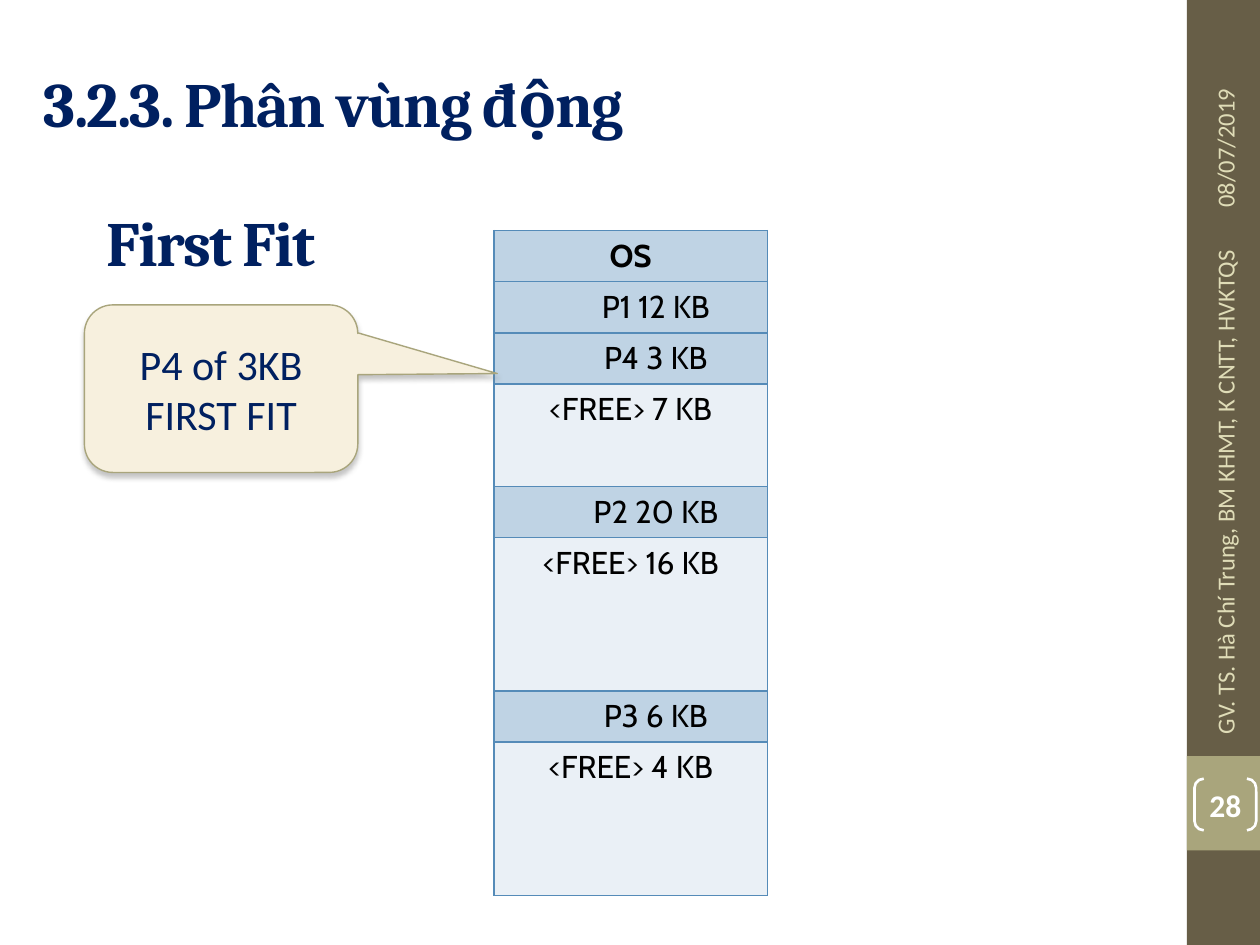
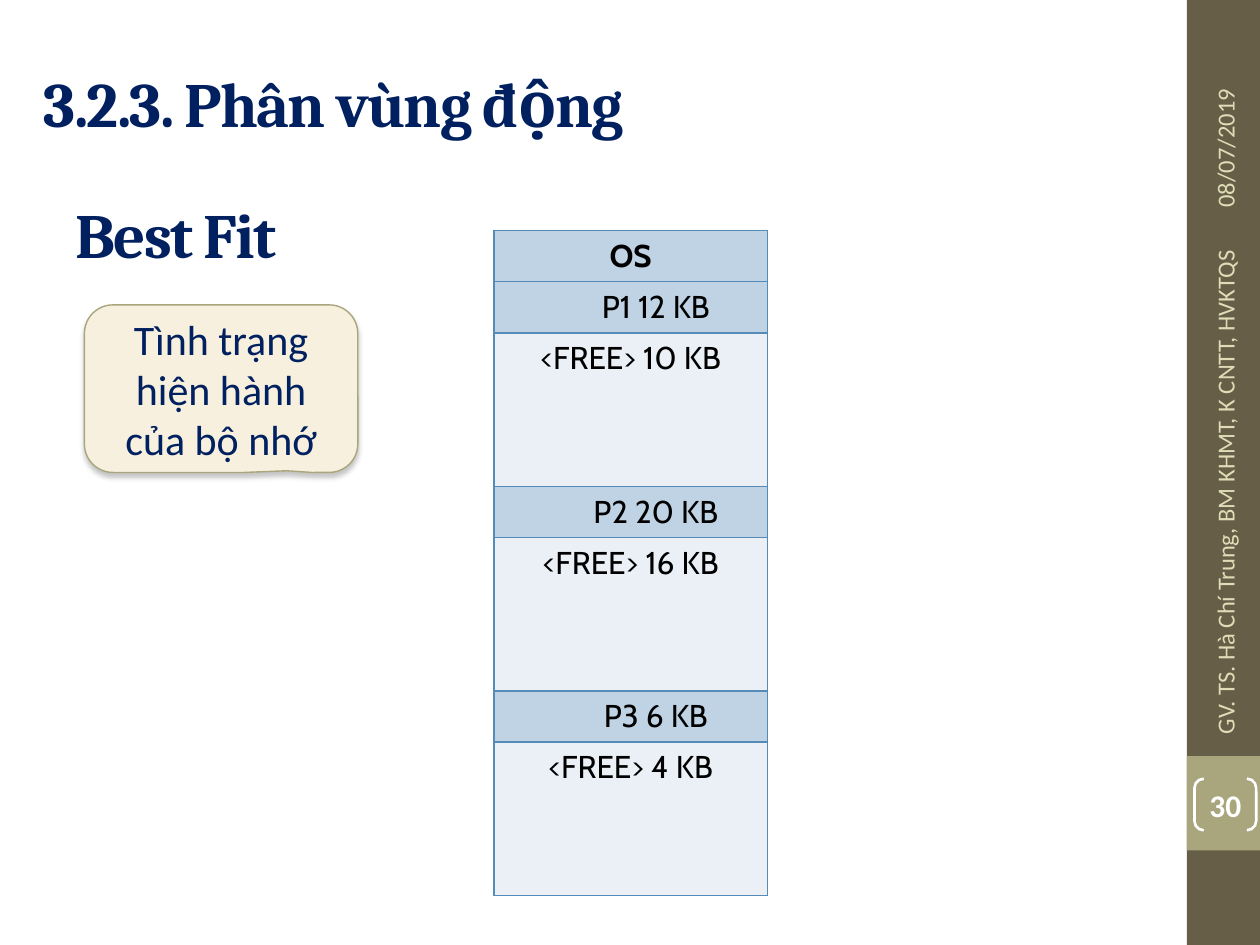
from lxml import etree
from pptx import Presentation
from pptx.dml.color import RGBColor
from pptx.enum.shapes import MSO_SHAPE
from pptx.enum.text import MSO_ANCHOR, PP_ALIGN
from pptx.oxml import parse_xml
from pptx.oxml.ns import nsdecls, qn
from pptx.util import Inches, Pt

RECTANGLE = MSO_SHAPE.RECTANGLE
BRACKETS = MSO_SHAPE.DOUBLE_BRACKET
CALLOUT = MSO_SHAPE.ROUNDED_RECTANGULAR_CALLOUT
MIDDLE = MSO_ANCHOR.MIDDLE
LEFT, CENTER = PP_ALIGN.LEFT, PP_ALIGN.CENTER

WHITE = RGBColor(0xFF, 0xFF, 0xFF)
BLACK = RGBColor(0x00, 0x00, 0x00)
NAVY = RGBColor(0x00, 0x20, 0x60)
OLIVE_DARK = RGBColor(0x67, 0x5E, 0x47)
OLIVE = RGBColor(0xA9, 0xA5, 0x7C)
SAND = RGBColor(0xDF, 0xDC, 0xB7)
CREAM = RGBColor(0xF7, 0xF0, 0xDE)
USED_BLUE = RGBColor(0xBF, 0xD3, 0xE4)
FREE_BLUE = RGBColor(0xEA, 0xF0, 0xF6)
BORDER_BLUE = RGBColor(0x55, 0x8B, 0xB8)

HEADING = "3.2.3. Phân vùng động"
HEADING_BOX = (0.25, 0.3, 8.92, 1.03)
DATE = "08/07/2019"
AUTHOR = "GV. TS. Hà Chí Trung, BM KHMT, K CNTT, HVKTQS"
SIDEBAR_BOX = (9.42, 0, 0.58, 7.5)
MEMORY_BOX = (3.92, 1.83, 2.17, 5.28)
CALLOUT_BOX = (0.67, 2.42, 2.17, 1.33)
PROCESS_INDENT = 0.4

# Memory blocks: (label, rows taken); labels starting with FREE are holes.
FREE = "<FREE>"
FIRST_FIT_BLOCKS = [
    ("OS", 1), ("P1 12 KB", 1), ("P4 3 KB", 1), ("<FREE> 7 KB", 2),
    ("P2 20 KB", 1), ("<FREE> 16 KB", 3), ("P3 6 KB", 1), ("<FREE> 4 KB", 3),
]
BEST_FIT_BLOCKS = [
    ("OS", 1), ("P1 12 KB", 1), ("<FREE> 10 KB", 3),
    ("P2 20 KB", 1), ("<FREE> 16 KB", 3), ("P3 6 KB", 1), ("<FREE> 4 KB", 3),
]


def inches(box):
    return [Inches(length) for length in box]


def write(frame, text, font, size, color, bold=False, align=LEFT):
    frame.text = text
    for paragraph in frame.paragraphs:
        paragraph.alignment = align
        paragraph.font.name = font
        paragraph.font.size = Pt(size)
        paragraph.font.bold = bold
        paragraph.font.color.rgb = color


def add_label(slide, box, text, font, size, color, bold=False):
    label = slide.shapes.add_textbox(*inches(box))
    label.text_frame.word_wrap = True
    label.text_frame.vertical_anchor = MIDDLE
    write(label.text_frame, text, font, size, color, bold)
    return label


def add_title(slide, box, text):
    title = add_label(slide, box, text, "Cambria", 36, NAVY, bold=True)
    for run in title.text_frame.paragraphs[0].runs:
        run.font._element.set("spc", "-100")


def add_panel(slide, preset, box, fill=None, line=None, width=1.0):
    panel = slide.shapes.add_shape(preset, *inches(box))
    panel.shadow.inherit = False
    if fill is None:
        panel.fill.background()
    else:
        panel.fill.solid()
        panel.fill.fore_color.rgb = fill
    if line is None:
        panel.line.fill.background()
    else:
        panel.line.color.rgb = line
        panel.line.width = Pt(width)
    return panel


def add_sidebar(slide, box, number):
    left, top, width, height = box
    add_panel(slide, RECTANGLE, box, OLIVE_DARK)
    add_panel(slide, RECTANGLE, (left, top + 6, width, 0.75), OLIVE)

    center_x = left + 0.3
    for text, center_y, length in ((DATE, 0.87, 1.75), (AUTHOR, 3.84, 4.17)):
        label_box = (center_x - length / 2, top + center_y - 0.2, length, 0.4)
        label = add_label(slide, label_box, text, "Calibri", 14, SAND)
        label.rotation = 270

    page = add_panel(slide, BRACKETS, (left + 0.06, top + 6.18, 0.49, 0.41),
                     line=WHITE, width=1.5)
    page.adjustments[0] = 0.18
    frame = page.text_frame
    frame.margin_left = frame.margin_right = 0
    frame.margin_top = frame.margin_bottom = 0
    frame.vertical_anchor = MIDDLE
    write(frame, str(number), "Calibri", 18, WHITE, True, CENTER)


def set_borders(cell, hidden=()):
    properties = cell._tc.get_or_add_tcPr()
    for side in ("lnL", "lnR", "lnT", "lnB"):
        paint = ("<a:noFill/>" if side in hidden else
                 f'<a:solidFill><a:srgbClr val="{BORDER_BLUE}"/></a:solidFill>')
        properties.append(parse_xml(
            f'<a:{side} {nsdecls("a")} w="{Pt(1)}">{paint}</a:{side}>'))


def add_memory_map(slide, box, blocks):
    row_count = sum(span for _, span in blocks)
    table = slide.shapes.add_table(row_count, 1, *inches(box)).table
    table.first_row = table.horz_banding = False
    for row in table.rows:
        row.height = Inches(box[3] / row_count)

    row_index = 0
    for label, span in blocks:
        is_free = label.startswith(FREE)
        is_system = label == "OS"
        for part in range(span):
            cell = table.cell(row_index, 0)
            hidden = [side for side, inner in
                      (("lnT", part > 0), ("lnB", part < span - 1)) if inner]
            set_borders(cell, hidden)
            cell.fill.solid()
            cell.fill.fore_color.rgb = FREE_BLUE if is_free else USED_BLUE
            if not (is_free or is_system):
                cell.margin_left = Inches(0.1 + PROCESS_INDENT)
            write(cell.text_frame, "" if part else label,
                  "Cabin", 18, BLACK, is_system, CENTER)
            row_index += 1


def add_soft_shadow(shape):
    effects = shape._element.spPr.find(qn("a:effectLst"))
    shadow = etree.SubElement(effects, qn("a:outerShdw"), blurRad=str(Pt(3)),
                              dist=str(Pt(2.4)), dir="5400000", rotWithShape="0")
    color = etree.SubElement(shadow, qn("a:srgbClr"), val="808080")
    etree.SubElement(color, qn("a:alpha"), val="45000")


def add_callout(slide, box, text, tip):
    """Tip is the pointer's offset from the centre, in widths and heights."""
    callout = add_panel(slide, CALLOUT, box, CREAM, OLIVE, 0.79)
    for index, value in enumerate((*tip, 0.17)):
        callout.adjustments[index] = value
    add_soft_shadow(callout)
    callout.text_frame.word_wrap = True
    callout.text_frame.vertical_anchor = MIDDLE
    write(callout.text_frame, text, "Calibri", 24, NAVY, align=CENTER)


def add_fit_slide(deck, number, method, method_box, blocks, note, tip):
    slide = deck.slides.add_slide(deck.slide_layouts[6])
    add_sidebar(slide, SIDEBAR_BOX, number)
    add_memory_map(slide, MEMORY_BOX, blocks)
    add_callout(slide, CALLOUT_BOX, note, tip)
    add_title(slide, HEADING_BOX, HEADING)
    add_title(slide, method_box, method)


def main():
    deck = Presentation()
    deck.slide_width, deck.slide_height = Inches(10), Inches(7.5)
    add_fit_slide(deck, 28, "First Fit", (0.75, 1.58, 2.17, 0.67),
                  FIRST_FIT_BLOCKS, "P4 of 3KB\nFIRST FIT", (1.01, -0.09))
    add_fit_slide(deck, 30, "Best Fit", (0.5, 1.42, 2.92, 0.87),
                  BEST_FIT_BLOCKS, "Tình trạng hiện hành của bộ nhớ", (0.24, 0.49))
    deck.save("out.pptx")


if __name__ == "__main__":
    main()
